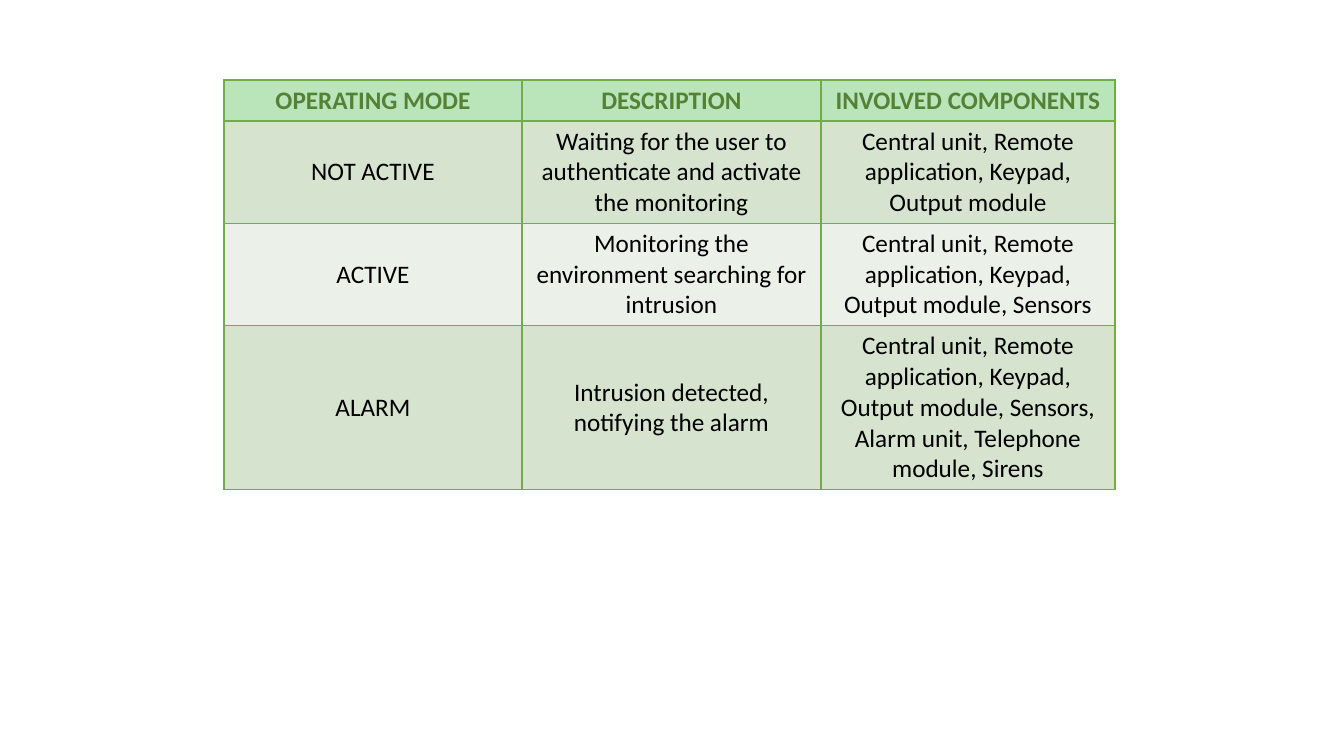
from lxml import etree
from pptx import Presentation, util as u
from pptx.dml.color import RGBColor
from pptx.enum import text
from pptx.oxml import ns

PX = 914400 / 100.8
HUES = {"head": "009E00", "title": "548235", "body": "000000",
        "odd": "D5E3CF", "even": "EBF1E9", "edge": "70AD47"}
WIDTHS = [298, 299, 294]
HEIGHTS = [41, 102, 102, 164]
UNITS = "Central unit, Remote application, Keypad, Output module"
MODES = [
    ["OPERATING MODE", "DESCRIPTION", "INVOLVED COMPONENTS"],
    ["NOT ACTIVE", "Waiting for the user to authenticate and activate the monitoring", UNITS],
    ["ACTIVE", "Monitoring the environment searching for intrusion", UNITS + ", Sensors"],
    ["ALARM", "Intrusion detected, notifying the alarm",
     UNITS + ", Sensors, Alarm unit, Telephone module, Sirens"],
]


def emu(px):
    """Turn pixels into EMU."""
    return u.Emu(round(px * PX))


def hue(name):
    """Look up a colour by name."""
    return RGBColor.from_string(HUES[name])


def add_edges(cell):
    """Draw a thin line on all four sides of a cell."""
    props = cell._tc.get_or_add_tcPr()
    for spot, side in enumerate("LRTB"):
        line = etree.Element(ns.qn("a:ln" + side), w=str(u.Pt(1)))
        fill = etree.SubElement(line, ns.qn("a:solidFill"))
        etree.SubElement(fill, ns.qn("a:srgbClr"), val=HUES["edge"])
        props.insert(spot, line)


def fill_cell(cell, words, row):
    """Write and colour one cell according to its row."""
    head = row == 0
    cell.fill.solid()
    cell.fill.fore_color.rgb = hue("head" if head else "odd" if row % 2 else "even")
    if head:
        tint = cell._tc.tcPr.find(".//" + ns.qn("a:srgbClr"))
        etree.SubElement(tint, ns.qn("a:alpha"), val="27000")
    add_edges(cell)
    cell.vertical_anchor = text.MSO_ANCHOR.MIDDLE
    para = cell.text_frame.paragraphs[0]
    para.alignment = text.PP_ALIGN.CENTER
    run = para.add_run()
    run.text = words
    run.font.name, run.font.size, run.font.bold = "Calibri", u.Pt(18), head
    run.font.color.rgb = hue("title" if head else "body")


def add_modes(slide, left, top):
    """Place the table of operating modes."""
    box = map(emu, (left, top, sum(WIDTHS), sum(HEIGHTS)))
    table = slide.shapes.add_table(len(MODES), len(WIDTHS), *box).table
    for col, width in zip(table.columns, WIDTHS):
        col.width = emu(width)
    for row, height in zip(table.rows, HEIGHTS):
        row.height = emu(height)
    for r, line in enumerate(MODES):
        for c, words in enumerate(line):
            fill_cell(table.cell(r, c), words, r)


deck = Presentation()
deck.slide_width, deck.slide_height = emu(1344), emu(756)
add_modes(deck.slides.add_slide(deck.slide_layouts[6]), 224, 80)
deck.save("out.pptx")
